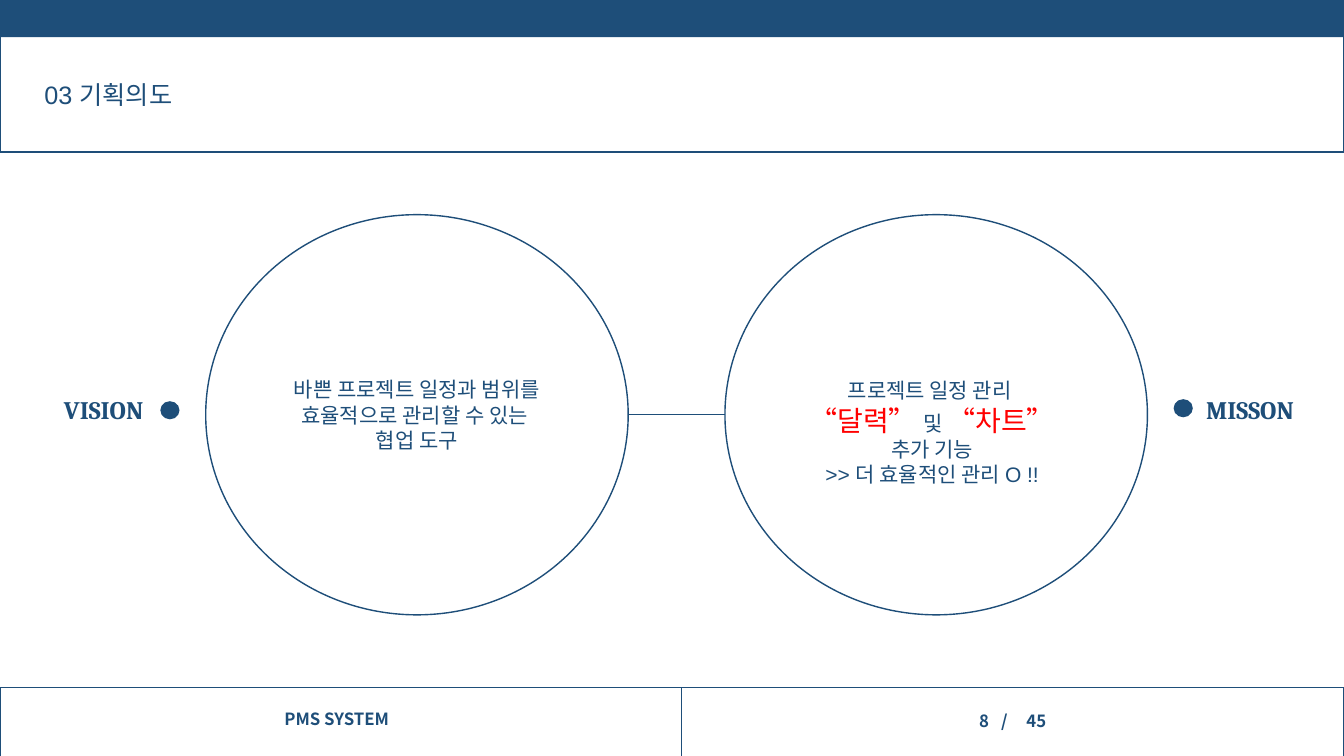
"""Build the project intent slide with its vision and mission circles."""
from dataclasses import dataclass, field

import lxml.etree
import pptx
import pptx.dml.color
import pptx.enum.shapes
import pptx.enum.text
import pptx.oxml.ns
import pptx.util

Inches = pptx.util.Inches
Pt = pptx.util.Pt
SHAPE = pptx.enum.shapes.MSO_SHAPE
ALIGN = pptx.enum.text.PP_ALIGN
ANCHOR = pptx.enum.text.MSO_ANCHOR
AUTO = pptx.enum.text.MSO_AUTO_SIZE
qn = pptx.oxml.ns.qn

NAVY = pptx.dml.color.RGBColor(0x1E, 0x4E, 0x79)
RED = pptx.dml.color.RGBColor(0xFF, 0x00, 0x00)

HEADING = {"name": "Arial", "size": Pt(18), "bold": False}
FOOTER = {"name": "Noto Sans CJK KR", "size": Pt(12), "bold": True}
LABEL = {"name": "Cambria", "size": Pt(18), "bold": True}
BODY = {"name": "Arial", "size": Pt(15)}
ACCENT = {"name": "Arial", "size": Pt(20), "color": RED}


@dataclass
class Figure:
    """A preset shape, either filled or outlined."""
    kind: SHAPE
    box: tuple[float, float, float, float]
    filled: bool = False


@dataclass
class Run:
    """A piece of text with its font values."""
    text: str
    font: dict
    spacing: int = 0


@dataclass
class Block:
    """A text block holding paragraphs of runs."""
    box: tuple[float, float, float, float]
    lines: list[list[Run]]
    anchor: ANCHOR = ANCHOR.TOP
    line_spacing: float = 1.0
    align: ALIGN = ALIGN.CENTER
    auto_size: AUTO = AUTO.NONE
    margin_left: float = 0.1
    tabs: list[float] = field(default_factory=list)


FIGURES = [
    Figure(SHAPE.RECTANGLE, (0, 0, 13.33, 0.37), True),
    Figure(SHAPE.RECTANGLE, (0, 0.36, 13.33, 1.15)),
    Figure(SHAPE.RECTANGLE, (0, 6.82, 6.76, 0.69)),
    Figure(SHAPE.RECTANGLE, (6.76, 6.82, 6.57, 0.69)),
    Figure(SHAPE.OVAL, (2.04, 2.13, 4.19, 3.97)),
    Figure(SHAPE.OVAL, (7.19, 2.13, 4.19, 3.97)),
    Figure(SHAPE.OVAL, (1.59, 3.98, 0.19, 0.18), True),
    Figure(SHAPE.OVAL, (11.64, 3.96, 0.19, 0.18), True),
]

TITLE = Block((-0.27, 0.77, 2.69, 0.37), [[Run("03 기획의도", HEADING)]],
              ANCHOR.BOTTOM, 0.9)
SUBTITLE = Block((0.95, 7.04, 4.78, 0.25), [[Run("PMS SYSTEM", FOOTER)]],
                 line_spacing=0.7)
BLOCKS = [
    Block((7.66, 7.06, 4.78, 0.25), [[Run("8\t/\t45", FOOTER)]],
          line_spacing=0.7, align=ALIGN.LEFT, margin_left=2.05,
          tabs=[0.22, 0.47]),
    Block((0.43, 3.89, 1.25, 0.37), [[Run("VISION ", LABEL)]],
          ANCHOR.BOTTOM, 0.8),
    Block((11.8, 3.89, 1.25, 0.37), [[Run("MISSON ", LABEL)]],
          ANCHOR.BOTTOM, 0.8),
    Block((2.57, 3.69, 3.13, 0.86), [
        [Run("바쁜 프로젝트 일정과 범위를 효율적으로 관리할 수 있는 ", BODY)],
        [Run("협업 도구", BODY)],
    ], auto_size=AUTO.SHAPE_TO_FIT_TEXT),
    Block((7.68, 3.7, 3.13, 0.94), [
        [Run("프로젝트 일정 관리 ", BODY)],
        [Run("“달력” ", ACCENT), Run("및 ", BODY), Run("“차트”", ACCENT),
         Run(" ", ACCENT, 1100), Run("추가 기능", BODY)],
        [Run(">> 더 효율적인 관리 O !!", BODY)],
    ], auto_size=AUTO.SHAPE_TO_FIT_TEXT),
]


def draw_figure(slide: pptx.slide.Slide, figure: Figure) -> None:
    """Draw one shape in navy."""
    sp = slide.shapes.add_shape(figure.kind, *map(Inches, figure.box))
    sp.shadow.inherit = False
    if figure.filled:
        sp.fill.solid()
        sp.fill.fore_color.rgb = NAVY
        sp.line.fill.background()
    else:
        sp.fill.background()
        sp.line.color.rgb = NAVY
        sp.line.width = Pt(1)


def draw_link(slide: pptx.slide.Slide, start: float, end: float, y: float) -> None:
    """Draw the line that joins the circles."""
    ln = slide.shapes.add_connector(
        pptx.enum.shapes.MSO_CONNECTOR.STRAIGHT,
        Inches(start), Inches(y), Inches(end), Inches(y))
    ln.line.color.rgb = NAVY
    ln.line.width = Pt(0.75)
    lxml.etree.SubElement(ln._element.spPr, qn("a:effectLst"))


def write_run(p: pptx.text.text._Paragraph, run: Run) -> None:
    """Add one formatted run to a paragraph."""
    r = p.add_run()
    r.text = run.text
    values = dict(run.font)
    r.font.color.rgb = values.pop("color", NAVY)
    for key, value in values.items():
        setattr(r.font, key, value)
    if run.spacing:
        r._r.get_or_add_rPr().set("spc", str(run.spacing))


def write_block(sp: pptx.shapes.base.BaseShape, block: Block) -> None:
    """Place a text shape and fill it with a block."""
    sp.left, sp.top, sp.width, sp.height = map(Inches, block.box)
    tf = sp.text_frame
    frame_format = {
        "word_wrap": True, "auto_size": block.auto_size,
        "vertical_anchor": block.anchor,
        "margin_left": Inches(block.margin_left), "margin_right": Inches(0.1),
        "margin_top": Inches(0.05), "margin_bottom": Inches(0.05),
    }
    for key, value in frame_format.items():
        setattr(tf, key, value)
    for i, line in enumerate(block.lines):
        p = tf.add_paragraph() if i else tf.paragraphs[0]
        p.alignment = block.align
        p.line_spacing = block.line_spacing
        p.space_before = Pt(0)
        if block.tabs:
            tab_list = lxml.etree.SubElement(p._p.get_or_add_pPr(), qn("a:tabLst"))
            for stop in block.tabs:
                lxml.etree.SubElement(tab_list, qn("a:tab"),
                                      pos=str(Inches(stop)), algn="l")
        for run in line:
            write_run(p, run)


def main() -> None:
    """Build and save the slide."""
    prs = pptx.Presentation()
    prs.slide_width, prs.slide_height = Inches(13.33), Inches(7.5)
    slide = prs.slides.add_slide(prs.slide_layouts[0])
    for figure in FIGURES:
        draw_figure(slide, figure)
    draw_link(slide, 6.23, 7.19, 4.11)
    write_block(slide.shapes.title, TITLE)
    write_block(slide.placeholders[1], SUBTITLE)
    for block in BLOCKS:
        write_block(slide.shapes.add_textbox(*map(Inches, block.box)), block)
    prs.save("out.pptx")


if __name__ == "__main__":
    main()
